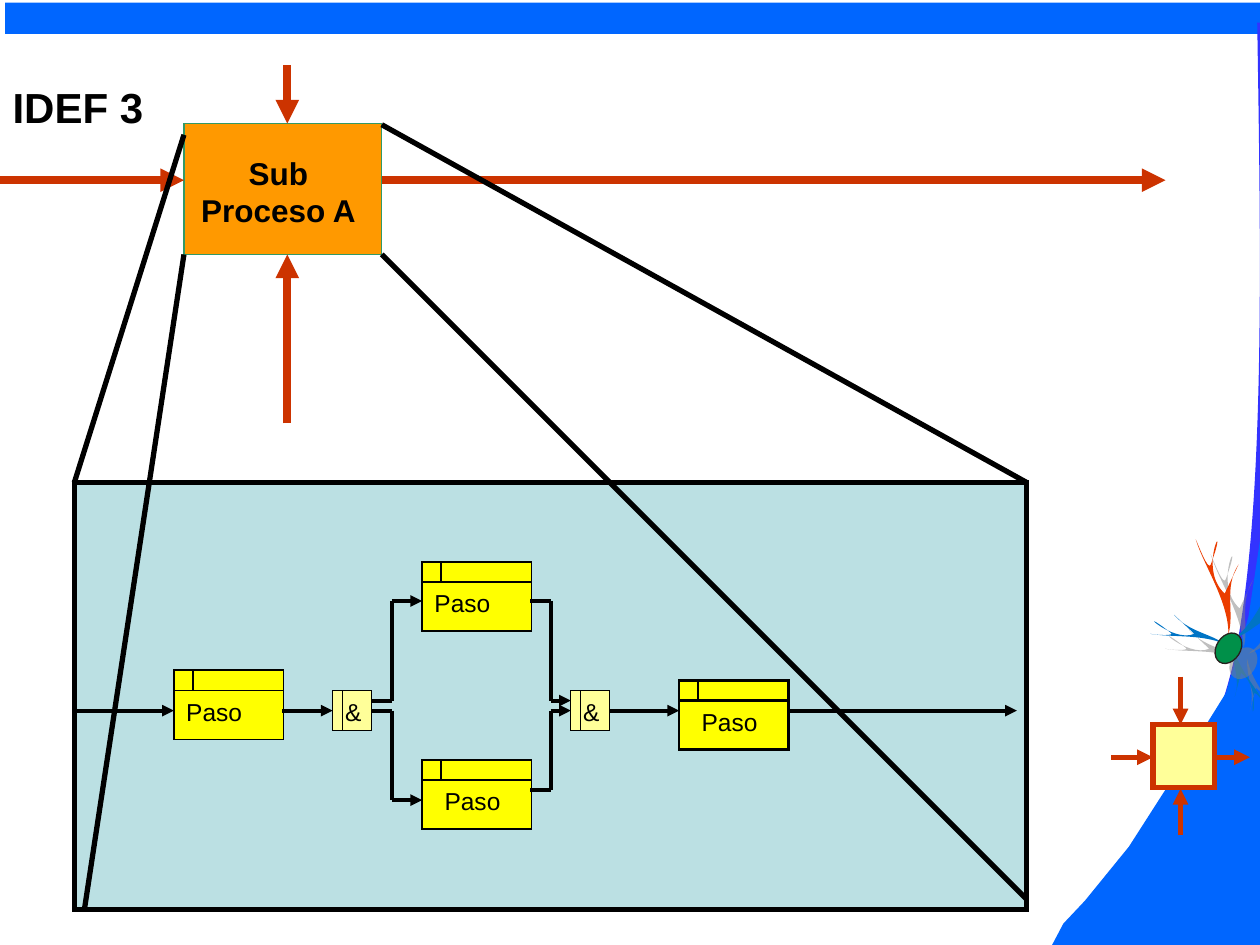
import math
import pptx
import pptx.util
import pptx.dml.color
import pptx.enum.shapes
import pptx.enum.text
import pptx.oxml
import pptx.oxml.ns
from itertools import pairwise

Inches = pptx.util.Inches
Pt = pptx.util.Pt
RGBColor = pptx.dml.color.RGBColor
SHAPE = pptx.enum.shapes.MSO_SHAPE
ALIGN = pptx.enum.text.PP_ALIGN
qn = pptx.oxml.ns.qn

BLACK = RGBColor(0x00, 0x00, 0x00)
BLUE = RGBColor(0x00, 0x66, 0xFF)
VIOLET = RGBColor(0x33, 0x33, 0xFF)
RED = RGBColor(0xCC, 0x33, 0x00)
ORANGE = RGBColor(0xFF, 0x99, 0x00)
GREEN_EDGE = RGBColor(0x33, 0x99, 0x66)
PALE_YELLOW = RGBColor(0xFF, 0xFF, 0x99)
YELLOW = RGBColor(0xFF, 0xFF, 0x00)
PANEL = RGBColor(0xBB, 0xE0, 0xE3)
DENDRITE_RED = RGBColor(0xEB, 0x3D, 0x00)
DENDRITE_BLUE = RGBColor(0x00, 0x74, 0xC5)
NUCLEUS = RGBColor(0x00, 0x90, 0x49)
NUCLEUS_EDGE = RGBColor(0x25, 0x22, 0x1E)

NEURON_TURN = 302.5
DENDRITES = [
    (DENDRITE_RED, (9.29, 4.2, 0.85, 0.62), [
        (9.49, 4.28),
        (9.51, 4.32, 9.59, 4.54, 9.61, 4.48), (9.77, 4.04, 9.49, 4.5, 9.72, 4.71),
        (9.83, 4.48), (9.71, 4.66, 9.8, 4.87, 9.75, 5.03),
        (9.75, 4.77, 9.55, 4.48, 9.49, 4.28)]),
    (DENDRITE_BLUE, (9.72, 4.55, 0.9, 0.46), [
        (10.19, 4.47),
        (10.18, 4.5, 10.06, 4.68, 10.13, 4.66), (10.61, 4.52, 10.01, 4.59, 10.02, 4.86),
        (10.3, 4.82), (10.07, 4.84, 9.96, 5.01, 9.79, 5.07),
        (10, 4.92, 10.07, 4.62, 10.19, 4.47)]),
    (DENDRITE_BLUE, (9.19, 4.6, 0.26, 0.8), [
        (9.13, 5.03),
        (9.17, 5.04, 9.34, 5.05, 9.29, 5.02), (8.98, 4.78, 9.3, 5.11, 9.48, 5.03),
        (9.32, 4.88), (9.43, 5.01, 9.61, 5.03, 9.72, 5.11),
        (9.53, 5.03, 9.29, 5.06, 9.13, 5.03)]),
    (DENDRITE_BLUE, (9.57, 5.23, 0.56, 0.52), [
        (10.07, 5.64),
        (10.05, 5.61, 9.96, 5.46, 9.95, 5.51), (9.91, 5.85, 10.03, 5.47, 9.85, 5.34),
        (9.8, 5.53), (9.85, 5.39, 9.77, 5.24, 9.78, 5.11),
        (9.82, 5.31, 10, 5.49, 10.07, 5.64)]),
]


def add_line_part(line, tag, **values):
    stroke = line._get_or_add_ln()
    stroke.append(stroke.makeelement(qn(tag), values))


def paint(shape, fill=None, line=None, weight=1):
    shape.shadow.inherit = False
    if fill is None:
        shape.fill.background()
    else:
        shape.fill.solid()
        shape.fill.fore_color.rgb = fill
    if line is None:
        shape.line.fill.background()
    else:
        shape.line.color.rgb = line
        shape.line.width = Pt(weight)
        add_line_part(shape.line, "a:miter", lim="800000")


def add_block(page, left, top, width, height, kind=SHAPE.RECTANGLE, **look):
    block = page.shapes.add_shape(
        kind, Inches(left), Inches(top), Inches(width), Inches(height))
    paint(block, **look)
    return block


def add_polygon(page, points, **look):
    corners = [(Inches(x), Inches(y)) for x, y in points]
    builder = page.shapes.build_freeform(*corners[0])
    builder.add_line_segments(corners[1:], close=True)
    paint(builder.convert_to_shape(), **look)


def add_curve(page, bounds, segments, turn=0, **look):
    left, top, width, height = bounds
    builder = page.shapes.build_freeform(Inches(left), Inches(top))
    builder.add_line_segments([(Inches(left + width), Inches(top + height))], close=False)
    curve = builder.convert_to_shape()
    outline = next(curve._element.iter(qn("a:path")))
    for part in list(outline):
        outline.remove(part)
    cosine, sine = math.cos(math.radians(turn)), math.sin(math.radians(turn))
    for index, segment in enumerate(segments):
        tag = "a:moveTo" if index == 0 else "a:lnTo" if len(segment) == 2 else "a:cubicBezTo"
        command = outline.makeelement(qn(tag), {})
        outline.append(command)
        for x, y in zip(segment[::2], segment[1::2]):
            across, down = x - left - width / 2, y - top - height / 2
            local_x = across * cosine + down * sine + width / 2
            local_y = down * cosine - across * sine + height / 2
            command.append(command.makeelement(
                qn("a:pt"), {"x": str(Inches(local_x)), "y": str(Inches(local_y))}))
    curve.rotation = turn
    paint(curve, **look)
    return curve


def cast_shadow(shape):
    effects = shape._element.spPr.find(qn("a:effectLst"))
    effects.append(pptx.oxml.parse_xml(
        '<a:outerShdw xmlns:a="http://schemas.openxmlformats.org/drawingml/2006/main"'
        ' dist="153670" dir="2700000" algn="ctr" rotWithShape="0">'
        '<a:srgbClr val="808080"><a:alpha val="50000"/></a:srgbClr></a:outerShdw>'))


def add_route(page, *points, color=BLACK, weight=2.25, arrow=True):
    for start, end in pairwise(points):
        link = page.shapes.add_connector(
            pptx.enum.shapes.MSO_CONNECTOR.STRAIGHT,
            *(Inches(value) for value in start + end))
        link.line.color.rgb = color
        link.line.width = Pt(weight)
        if arrow and end == points[-1]:
            add_line_part(link.line, "a:tailEnd", type="triangle")
        properties = link._element.spPr
        properties.append(properties.makeelement(qn("a:effectLst"), {}))


def write_text(box, text, size=14, bold=False, align=ALIGN.LEFT):
    frame = box.text_frame
    frame.word_wrap = True
    frame.auto_size = pptx.enum.text.MSO_AUTO_SIZE.NONE
    frame.vertical_anchor = pptx.enum.text.MSO_ANCHOR.TOP
    para = frame.paragraphs[0]
    para.alignment = align
    para.space_before = Pt(0)
    span = para.add_run()
    span.text = text
    span.font.name = "Arial"
    span.font.size = Pt(size)
    span.font.bold = bold
    span.font.color.rgb = BLACK


def add_label(page, text, left, top, width, height=0.34, **style):
    box = page.shapes.add_textbox(
        Inches(left), Inches(top), Inches(width), Inches(height))
    write_text(box, text, **style)


def add_title(page, text):
    title = page.shapes.title
    title.left, title.top = Inches(0), Inches(0.6)
    title.width, title.height = Inches(1.61), Inches(0.5)
    write_text(title, text, size=24, bold=True)


def add_step(page, left, top, indent=0, weight=1):
    band = top + 0.16
    add_block(page, left, top, 0.87, 0.55, fill=YELLOW, line=BLACK, weight=weight)
    add_route(page, (left, band), (left + 0.87, band), weight=weight, arrow=False)
    add_route(page, (left + 0.15, top), (left + 0.15, band), weight=weight, arrow=False)
    add_label(page, "Paso", left + indent, band, 1.26)


def add_junction(page, left, top=5.48):
    add_block(page, left, top, 0.31, 0.32, fill=PALE_YELLOW, line=BLACK, weight=0.75)
    add_route(page, (left + 0.08, top), (left + 0.08, top + 0.32), weight=0.75, arrow=False)
    add_label(page, "&", left, top, 0.39)


def add_backdrop(page):
    add_block(page, 0.04, 0.02, 10, 0.25, fill=BLUE)
    add_curve(page, (8.46, 0.18, 1.62, 7.56), [
        (10.02, 0.18), (10.05, 2.05, 10.08, 3.92, 9.86, 5.12),
        (9.64, 6.31, 8.9, 6.97, 8.68, 7.35), (8.46, 7.74, 8.49, 7.58, 8.52, 7.43)],
        line=VIOLET, weight=6)
    add_polygon(page, [
        (8.61, 7.15), (8.96, 6.72), (9.3, 6.19), (9.73, 5.5), (9.91, 4.89), (9.99, 4.36),
        (10.08, 3.76), (10.08, 3.41), (10.08, 7.5), (8.35, 7.5), (8.44, 7.33)], fill=BLUE)
    add_block(page, 9.15, 5.75, 0.49, 0.5, fill=PALE_YELLOW, line=RED, weight=3)
    for start, end in [((8.82, 6.01), (9.15, 6.01)), ((9.65, 6.01), (9.92, 6.01)),
                       ((9.37, 5.37), (9.37, 5.75)), ((9.37, 6.63), (9.37, 6.26))]:
        add_route(page, start, end, color=RED, weight=3)
    for color, bounds, segments in DENDRITES:
        cast_shadow(add_curve(page, bounds, segments, turn=NEURON_TURN, fill=color))
    nucleus = add_block(page, 9.62, 5.05, 0.26, 0.19, kind=SHAPE.OVAL,
                        fill=NUCLEUS, line=NUCLEUS_EDGE, weight=0)
    nucleus.rotation = NEURON_TURN
    cast_shadow(nucleus)


def add_subprocess(page):
    add_block(page, 1.46, 0.98, 1.57, 1.04, fill=ORANGE, line=GREEN_EDGE, weight=0.75)
    add_label(page, "Sub Proceso A", 1.46, 1.17, 1.5, 0.7,
              size=18, bold=True, align=ALIGN.CENTER)
    for start, end in [((0, 1.43), (1.46, 1.43)), ((3.03, 1.43), (9.25, 1.43)),
                       ((2.28, 3.36), (2.28, 2.02)), ((2.28, 0.52), (2.28, 0.98))]:
        add_route(page, start, end, color=RED, weight=4.5)


def add_detail(page):
    add_block(page, 0.59, 3.83, 7.56, 3.39, fill=PANEL, line=BLACK, weight=3)
    for start, end in [((1.46, 1.07), (0.59, 3.83)), ((1.46, 2.02), (0.67, 7.22)),
                       ((3.03, 0.99), (8.15, 3.83)), ((3.03, 2.02), (8.15, 7.14))]:
        add_route(page, start, end, weight=3, arrow=False)
    add_step(page, 1.38, 5.32)
    add_step(page, 3.35, 4.46)
    add_step(page, 3.35, 6.03, indent=0.08)
    add_step(page, 5.39, 5.4, indent=0.08, weight=1.5)
    for left in (2.64, 4.53):
        add_junction(page, left)
    for start, end in [(0.59, 1.38), (2.24, 2.64), (4.84, 5.39), (6.26, 8.07)]:
        add_route(page, (start, 5.64), (end, 5.64))
    add_route(page, (2.95, 5.56), (3.11, 5.56), (3.11, 4.77), (3.35, 4.77))
    add_route(page, (2.95, 5.64), (3.11, 5.64), (3.11, 6.35), (3.35, 6.35))
    add_route(page, (4.21, 4.77), (4.37, 4.77), (4.37, 5.56), (4.53, 5.56))
    add_route(page, (4.21, 6.27), (4.37, 6.27), (4.37, 5.64), (4.53, 5.64))


def main():
    deck = pptx.Presentation()
    deck.slide_width, deck.slide_height = Inches(10), Inches(7.5)
    page = deck.slides.add_slide(deck.slide_layouts[5])
    add_backdrop(page)
    add_subprocess(page)
    add_title(page, "IDEF 3")
    add_detail(page)
    deck.save("out.pptx")


if __name__ == "__main__":
    main()
